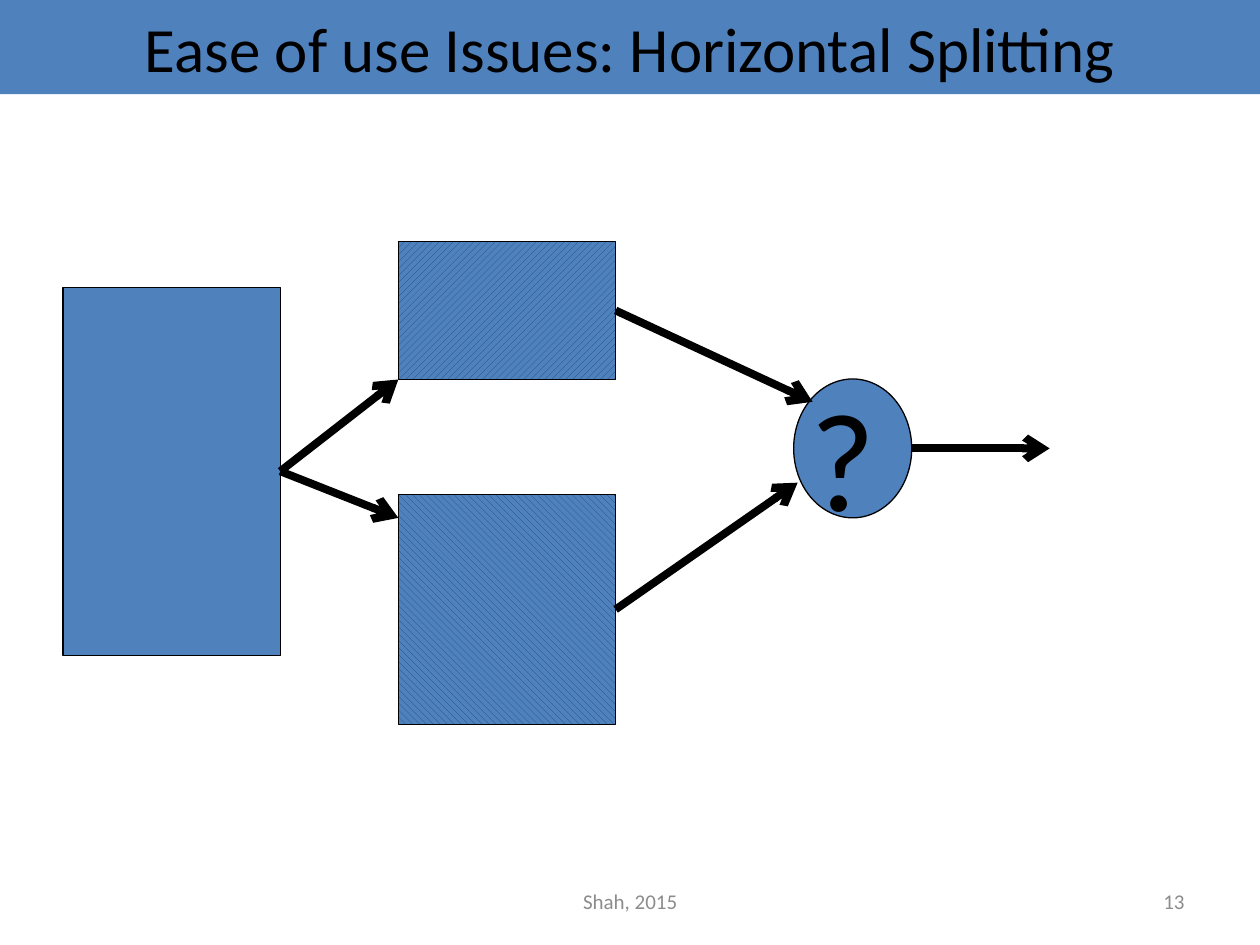
from dataclasses import dataclass
from typing import Optional

from lxml import etree
from pptx import Presentation
from pptx.dml.color import RGBColor
from pptx.enum.dml import MSO_PATTERN
from pptx.enum.shapes import MSO_CONNECTOR, MSO_SHAPE
from pptx.enum.text import MSO_ANCHOR, MSO_AUTO_SIZE, PP_ALIGN
from pptx.oxml.ns import qn
from pptx.util import Cm, Pt

RECT, OVAL = MSO_SHAPE.RECTANGLE, MSO_SHAPE.OVAL
STRAIGHT = MSO_CONNECTOR.STRAIGHT
UP, DOWN = MSO_PATTERN.WIDE_UPWARD_DIAGONAL, MSO_PATTERN.WIDE_DOWNWARD_DIAGONAL
LEFT, MID, RIGHT = PP_ALIGN.LEFT, PP_ALIGN.CENTER, PP_ALIGN.RIGHT
TOP, CENTER = MSO_ANCHOR.TOP, MSO_ANCHOR.MIDDLE
NO_FIT = MSO_AUTO_SIZE.NONE
SIDE = 3  # right side of a rectangle

BLUE = RGBColor(0x4F, 0x81, 0xBD)
NAVY = RGBColor(0x1F, 0x49, 0x7D)
BLACK = RGBColor(0, 0, 0)
GRAY = RGBColor(0x8C, 0x8C, 0x8C)
FONT = "Calibri"


@dataclass
class Node:
    left: float
    top: float
    width: float
    height: float
    kind: int = RECT
    hatch: Optional[int] = None


@dataclass
class Arrow:
    start: str
    end: tuple[float, float]


@dataclass
class Label:
    text: str
    box: tuple[float, float, float, float]
    size: int
    color: RGBColor
    align: int
    anchor: int = CENTER
    wrap: bool = True


NODES = {
    "table": Node(1.27, 5.79, 4.38, 7.42),
    "upper": Node(8.03, 4.87, 4.38, 2.78, hatch=UP),
    "lower": Node(8.03, 9.97, 4.38, 4.63, hatch=DOWN),
    "merge": Node(16, 7.64, 2.38, 2.8, OVAL),
}
ARROWS = [
    Arrow("table", (8.03, 7.65)),
    Arrow("table", (8.03, 10.44)),
    Arrow("upper", (16.38, 8.1)),
    Arrow("lower", (16.08, 9.73)),
    Arrow("merge", (21.16, 9.04)),
]
TITLE = Label("Ease of use Issues: Horizontal Splitting", (0, 0, 25.4, 1.9), 36, BLACK, MID)
LABELS = [
    Label("Shah, 2015", (8.68, 17.65, 8.05, 1.02), 12, GRAY, MID),
    Label("13", (18.2, 17.65, 5.93, 1.02), 12, GRAY, RIGHT),
    Label("?", (16.08, 7.37, 2.08, 3.63), 80, BLACK, LEFT, TOP, False),
]


def apply(target, values: dict) -> None:
    for name, value in values.items():
        setattr(target, name, value)


def write(shape, label: Label) -> None:
    frame = shape.text_frame
    frame.text = label.text
    apply(frame, {"word_wrap": label.wrap, "auto_size": NO_FIT,
                  "vertical_anchor": label.anchor})
    line = frame.paragraphs[0]
    line.alignment = label.align
    font = line.runs[0].font
    apply(font, {"name": FONT, "size": Pt(label.size)})
    font.color.rgb = label.color


def draw_node(slide, node: Node):
    box = map(Cm, (node.left, node.top, node.width, node.height))
    shape = slide.shapes.add_shape(node.kind, *box)
    shape.shadow.inherit = False
    if node.hatch is None:
        shape.fill.solid()
        shape.fill.fore_color.rgb = BLUE
    else:
        shape.fill.patterned()
        shape.fill.pattern = node.hatch
        shape.fill.fore_color.rgb = NAVY
        shape.fill.back_color.rgb = BLUE
    shape.line.color.rgb = BLACK
    shape.line.width = Pt(0.75)
    return shape


def draw_arrow(slide, arrow: Arrow, shapes: dict) -> None:
    start = shapes[arrow.start]
    x, y = start.left + start.width, start.top + start.height // 2
    link = slide.shapes.add_connector(STRAIGHT, x, y, *map(Cm, arrow.end))
    if start.auto_shape_type == RECT:
        link.begin_connect(start, SIDE)
    link.line.color.rgb = BLACK
    link.line.width = Pt(4.5)
    etree.SubElement(link.line._get_or_add_ln(), qn("a:tailEnd"), type="arrow")
    etree.SubElement(link._element.spPr, qn("a:effectLst"))


def main() -> None:
    deck = Presentation()
    apply(deck, {"slide_width": Cm(25.4), "slide_height": Cm(19.05)})
    slide = deck.slides.add_slide(deck.slide_layouts[5])

    # Title band
    title = slide.shapes.title
    apply(title, dict(zip(("left", "top", "width", "height"), map(Cm, TITLE.box))))
    title.fill.solid()
    title.fill.fore_color.rgb = BLUE
    write(title, TITLE)

    # Split diagram
    shapes = {name: draw_node(slide, node) for name, node in NODES.items()}
    for arrow in ARROWS:
        draw_arrow(slide, arrow, shapes)

    # Footer and question mark
    for label in LABELS:
        write(slide.shapes.add_textbox(*map(Cm, label.box)), label)

    deck.save("out.pptx")


if __name__ == "__main__":
    main()
